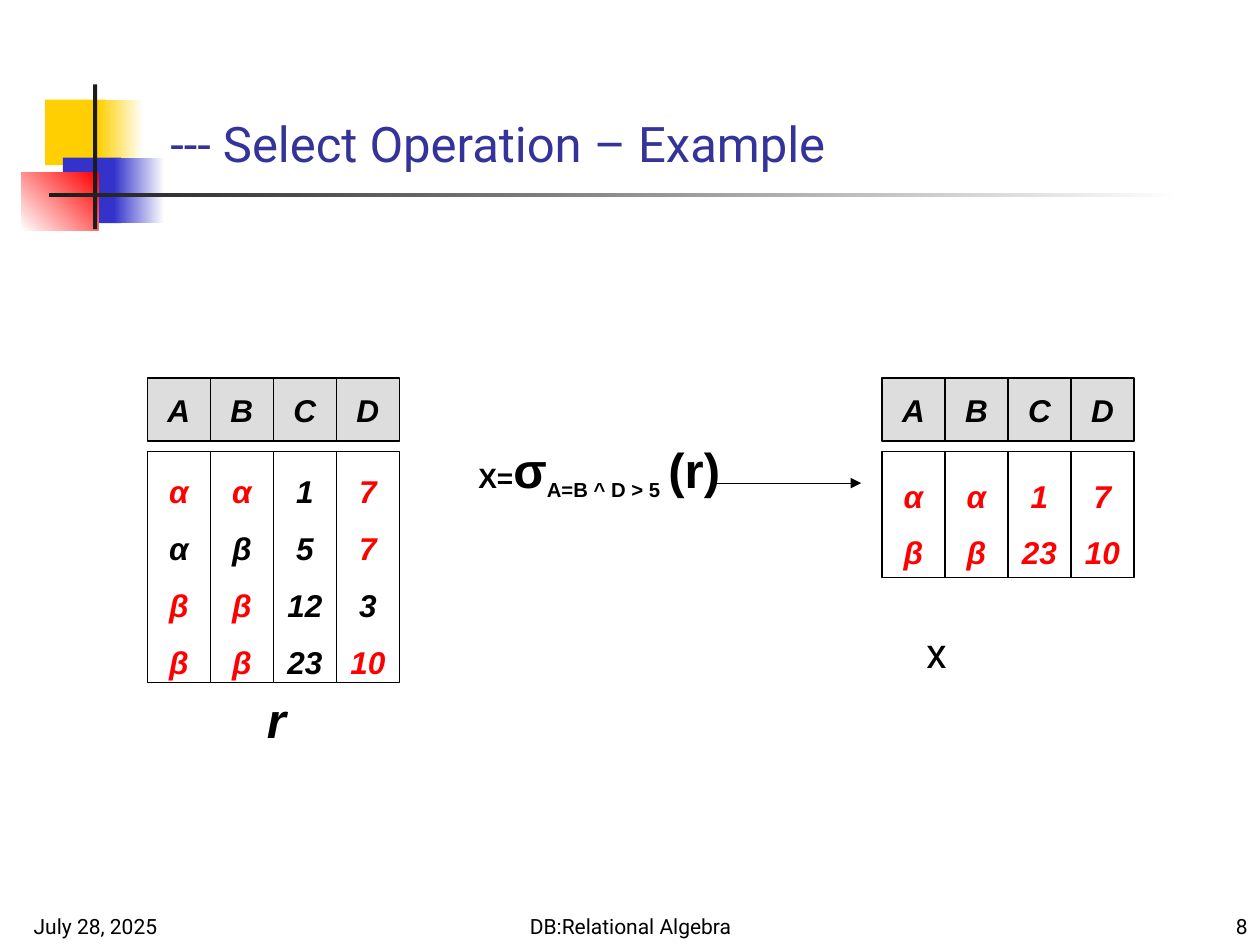
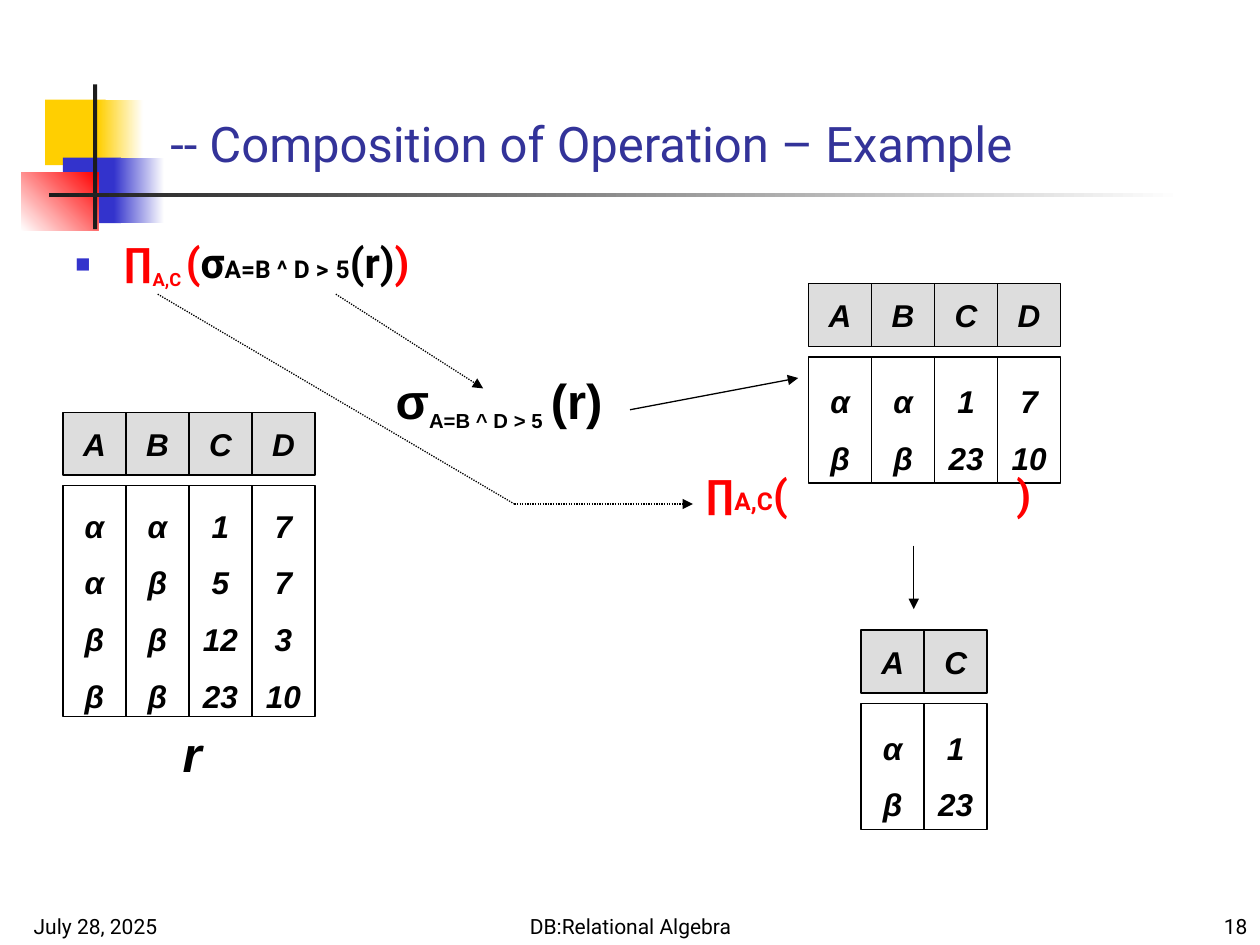
import lxml.etree
import pptx
import pptx.dml.color
import pptx.enum.dml
import pptx.enum.shapes
import pptx.enum.text
import pptx.oxml
import pptx.oxml.ns
import pptx.util

Cm, Pt = pptx.util.Cm, pptx.util.Pt
ALIGN = pptx.enum.text.PP_ALIGN
ANCHOR = pptx.enum.text.MSO_ANCHOR
RECTANGLE = pptx.enum.shapes.MSO_SHAPE.RECTANGLE

BLACK, WHITE, RED, BLUE = "000000", "FFFFFF", "FF0000", "3333CC"
YELLOW, CHARCOAL, GREY, TITLE = "FFCF01", "1C1C1C", "DDDDDD", "333399"

CELL = 1.27        # width of a column and height of its heading, in cm
BODY_DROP = 1.48   # from the top of the heading to the top of the values

# Decoration beside the title: place, colours, gradient angle
DECORATION = [
    ((0.91, 2.01, 1.22, 1.32), [YELLOW], 0),
    ((1.98, 2.01, 0.91, 1.32), [YELLOW, WHITE], 0),
    ((1.27, 3.18, 1.17, 1.32), [BLUE], 0),
    ((2.29, 3.18, 1.02, 1.32), [BLUE, WHITE], 0),
    ((0.43, 3.48, 1.55, 1.17), [WHITE, RED], 45),
    ((1.88, 1.7, 0.08, 2.92), [CHARCOAL], 0),
    ((0.99, 3.89, 22.86, 0.08), [CHARCOAL, WHITE], 0),
]

R_ROWS = [("α", "α", 1, 7), ("α", "β", 5, 7), ("β", "β", 12, 3), ("β", "β", 23, 10)]
SELECTED_ROWS = [row for row in R_ROWS if row[0] == row[1] and row[3] > 5]
PROJECTED_ROWS = [(row[0], row[2]) for row in SELECTED_ROWS]


def rgb(code):
    return pptx.dml.color.RGBColor.from_string(code)


def add_xml(parent, tag, **attributes):
    return lxml.etree.SubElement(parent, pptx.oxml.ns.qn(tag), attributes)


def meets_condition(column, row):
    """Tell whether a value helps to satisfy A=B ^ D > 5."""
    return (column < 2 and row[0] == row[1]) or (column == 3 and row[3] > 5)


class Builder:
    def __init__(self):
        self.deck = pptx.Presentation()
        self.deck.slide_width, self.deck.slide_height = Cm(25.4), Cm(19.05)
        self.page = None

    # Slide frame: decoration, footer and title
    def start(self, title, number):
        self.page = self.deck.slides.add_slide(self.deck.slide_layouts[5])
        for place, colours, angle in DECORATION:
            self.block(place, colours, angle)
        footers = [
            ((0.43, 17.98, 5.28, 1.07), "July 28, 2025", ALIGN.LEFT),
            ((8.69, 17.98, 8.05, 1.07), "DB:Relational Algebra", ALIGN.CENTER),
            ((20.12, 17.98, 5.28, 1.07), str(number), ALIGN.RIGHT),
        ]
        for place, words, align in footers:
            para = self.text_box(place, ANCHOR.BOTTOM, align)
            self.span(para, words, 12, font="Roboto")
        box = self.page.shapes.title
        box.left, box.top, box.width, box.height = map(Cm, (3.18, 1.9, 21.64, 1.7))
        box.text_frame.auto_size = pptx.enum.text.MSO_AUTO_SIZE.NONE
        box.text_frame.vertical_anchor = ANCHOR.BOTTOM
        para = box.text_frame.paragraphs[0]
        para.alignment = ALIGN.LEFT
        self.span(para, title, 28, TITLE, font="Roboto")

    # Text
    def span(self, para, words, size, colour=BLACK, font="Arial",
             bold=False, italic=False, lowered=False):
        span = para.add_run()
        span.text = words
        span.font.name, span.font.size = font, Pt(size)
        span.font.bold, span.font.italic = bold, italic
        span.font.color.rgb = rgb(colour)
        if lowered:
            span.font._element.set("baseline", "-25000")

    def text_box(self, place, anchor=ANCHOR.TOP, align=ALIGN.LEFT, wrap=True):
        box = self.page.shapes.add_textbox(*map(Cm, place))
        box.text_frame.word_wrap = wrap
        box.text_frame.vertical_anchor = anchor
        para = box.text_frame.paragraphs[0]
        para.alignment = align
        return para

    # Rectangles
    def block(self, place, colours, angle=0):
        box = self.page.shapes.add_shape(RECTANGLE, *map(Cm, place))
        box.shadow.inherit = False
        box.line.fill.background()
        if len(colours) == 1:
            box.fill.solid()
            box.fill.fore_color.rgb = rgb(colours[0])
        else:
            box.fill.gradient()
            box.fill.gradient_angle = angle
            for stop, colour in zip(box.fill.gradient_stops, colours):
                stop.color.rgb = rgb(colour)
        return box

    def cell(self, place, fill, entries, spacing=None):
        box = self.block(place, [fill])
        box.line.color.rgb = rgb(BLACK)
        box.line.width = Pt(0.75)
        frame = box.text_frame
        frame.word_wrap = False
        frame.vertical_anchor = ANCHOR.MIDDLE
        for index, (words, colour) in enumerate(entries):
            para = frame.add_paragraph() if index else frame.paragraphs[0]
            para.alignment = ALIGN.CENTER
            para.line_spacing = spacing
            self.span(para, words, 18, colour, bold=True, italic=True)

    # Relation: a heading cell and a cell of values for each column
    def relation(self, left, top, heading, rows, is_red=lambda column, row: False):
        height = 2.54 if len(rows) == 2 else 4.66
        for column, name in enumerate(heading):
            x = left + column * CELL
            self.cell((x, top, CELL, CELL), GREY, [(name, BLACK)])
            entries = [(str(row[column]), RED if is_red(column, row) else BLACK)
                       for row in rows]
            self.cell((x, top + BODY_DROP, CELL, height), WHITE, entries, 1.5)

    def relation_r(self, left, top, **style):
        self.relation(left, top, "ABCD", R_ROWS, **style)
        para = self.text_box((left + 1.96, top + 6.14, 1.09, 1.45),
                             ANCHOR.MIDDLE, ALIGN.CENTER, wrap=False)
        self.span(para, " ", 20, bold=True, italic=True)
        self.span(para, "r", 28, bold=True, italic=True)

    # Formulas
    def selection(self, place, prefix="", wrap=True):
        para = self.text_box(place, ANCHOR.MIDDLE, ALIGN.CENTER, wrap)
        if prefix:
            self.span(para, prefix, 16, bold=True)
        self.span(para, "σ", 28, bold=True)
        self.span(para, "A=B ^ D > 5", 20, bold=True, lowered=True)
        self.span(para, " ", 28, bold=True, lowered=True)
        self.span(para, "(r)", 28, bold=True)

    def composition(self, place):
        para = self.text_box(place)
        props = para._p.get_or_add_pPr()
        props.set("marL", str(Cm(0.97)))
        props.set("indent", str(-Cm(0.97)))
        add_xml(add_xml(props, "a:buClr"), "a:srgbClr", val=BLUE)
        add_xml(props, "a:buSzPct", val="60000")
        add_xml(props, "a:buFont", typeface="Arial")
        add_xml(props, "a:buChar", char="■")
        self.span(para, "∏", 24, RED, "Roboto", bold=True)
        self.span(para, "A,C ", 18, RED, "Roboto", bold=True, lowered=True)
        for words, size, colour in [
            ("(", 24, RED), ("σ", 24, BLACK), ("A=B ^ D >", 14, BLACK),
            (" ", 16, BLACK), ("5", 14, BLACK), ("(r)", 24, BLACK), (")", 24, RED),
        ]:
            self.span(para, words, size, colour, "Roboto", bold=True)

    def projection(self, place, closing):
        para = self.text_box(place)
        tabs = add_xml(para._p.get_or_add_pPr(), "a:tabLst")
        add_xml(tabs, "a:tab", pos=str(Cm(closing)), algn="l")
        for words, size in [("∏", 24), ("A,C", 14), ("(\t)", 24)]:
            self.span(para, words, size, RED, "Roboto", bold=True)

    # Lines and arrows
    def line(self, start, end, dotted=False, arrow=True):
        line = self.page.shapes.add_connector(
            pptx.enum.shapes.MSO_CONNECTOR.STRAIGHT, *map(Cm, start + end))
        line.line.color.rgb = rgb(BLACK)
        line.line.width = Pt(0.75)
        if dotted:
            line.line.dash_style = pptx.enum.dml.MSO_LINE.ROUND_DOT
        if arrow:
            add_xml(line.line._get_or_add_ln(), "a:tailEnd", type="triangle")
        add_xml(line._element.spPr, "a:effectLst")


def select_slide(builder):
    builder.start("--- Select Operation – Example", 8)
    builder.relation_r(2.97, 7.62, is_red=meets_condition)
    builder.selection((8.69, 8.81, 6.78, 1.45), prefix="X=")
    builder.relation(17.78, 7.62, "ABCD", SELECTED_ROWS, lambda column, row: True)
    builder.line((14.4, 9.74), (17.36, 9.74))
    result = builder.text_box((18.42, 12.5, 2.34, 1.3))
    builder.span(result, "x", 24, font="Roboto")


def composition_slide(builder):
    builder.start("-- Composition of Operation – Example", 18)
    builder.relation_r(1.27, 8.31)

    # Selection step
    builder.selection((7.62, 7.42, 4.88, 1.45), wrap=False)
    builder.relation(16.3, 5.72, "ABCD", SELECTED_ROWS)
    builder.line((12.7, 8.26), (16.09, 7.62))

    # Projection step
    builder.composition((1.27, 4.65, 17.78, 1.63))
    builder.relation(17.36, 12.7, "AC", PROJECTED_ROWS)
    builder.projection((13.97, 9.32, 8.23, 1.27), closing=6.27)
    builder.line((18.42, 11), (18.42, 12.28))

    # Dotted links from the formula to its steps
    builder.line((6.77, 5.93), (9.74, 7.83), dotted=True)
    builder.line((3.18, 5.93), (10.37, 10.16), dotted=True, arrow=False)
    builder.line((10.37, 10.16), (13.97, 10.16), dotted=True)


def main():
    builder = Builder()
    select_slide(builder)
    composition_slide(builder)
    builder.deck.save("out.pptx")


if __name__ == "__main__":
    main()
